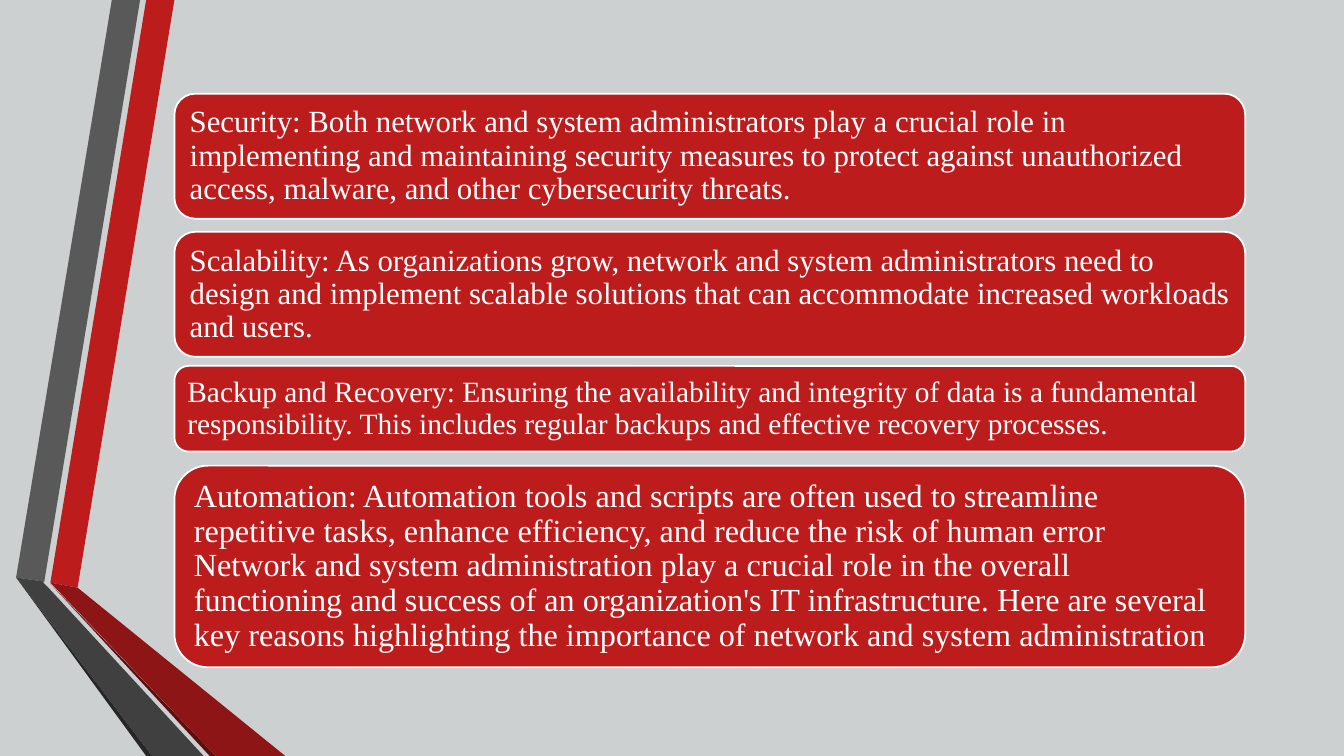
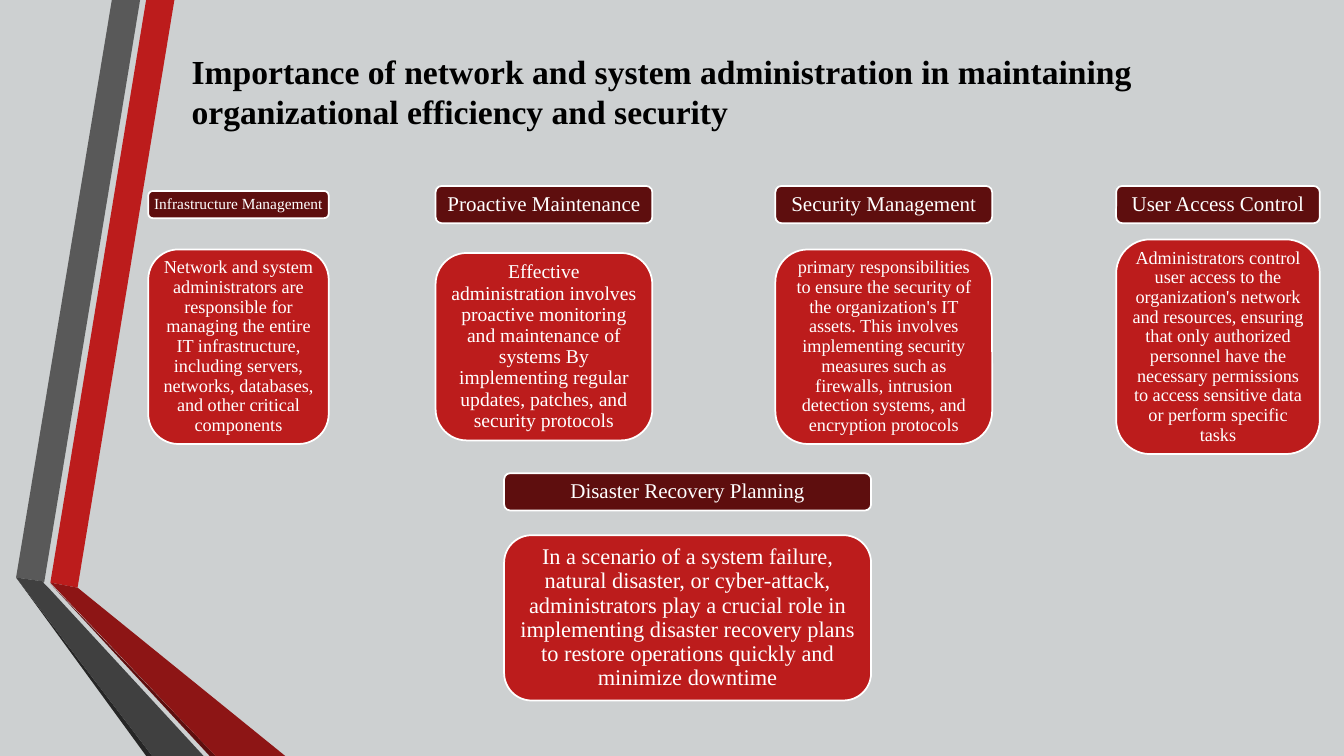
from pptx import Presentation
from pptx.dml.color import RGBColor
from pptx.enum.shapes import MSO_SHAPE as SHAPE
from pptx.enum.text import MSO_ANCHOR as ANCHOR, MSO_AUTO_SIZE as AUTO_SIZE, PP_ALIGN as ALIGN
from pptx.util import Pt

PX = 9144  # EMU per px, 100 px to the inch
SLIDE_W, SLIDE_H = 1333, 750
FONT = "Times New Roman"

BACKGROUND = RGBColor(0xCD, 0xD0, 0xD1)
BLACK = RGBColor(0x00, 0x00, 0x00)
WHITE = RGBColor(0xFF, 0xFF, 0xFF)
RED = RGBColor(0xBC, 0x1C, 0x1C)
RED_SHADE = RGBColor(0x8D, 0x15, 0x15)
RED_DARK = RGBColor(0x5E, 0x0E, 0x0E)
GREY = RGBColor(0x59, 0x59, 0x59)
GREY_SHADE = RGBColor(0x40, 0x40, 0x40)
GREY_DARK = RGBColor(0x26, 0x26, 0x26)

# Folded ribbons at the left edge, back to front
RIBBONS = [
    (RED, [(50, 578), (77, 583), (173, 0), (145, 0)]),
    (GREY, [(139, 0), (111, 0), (16, 573), (44, 577)]),
    (GREY_DARK, [(16, 573), (145, 750), (151, 750)]),
    (RED_DARK, [(50, 579), (208, 750), (214, 750)]),
    (RED_SHADE, [(50, 578), (214, 750), (283, 750), (77, 583)]),
    (GREY_SHADE, [(202, 750), (48, 583), (43, 578), (44, 577), (16, 573), (151, 750)]),
]

# top, height, font size, text
DUTIES = [
    (93, 124, 22, "Security: Both network and system administrators play a crucial role in "
     "implementing and maintaining security measures to protect against unauthorized access, "
     "malware, and other cybersecurity threats."),
    (230, 124, 22, "Scalability: As organizations grow, network and system administrators need "
     "to design and implement scalable solutions that can accommodate increased workloads and "
     "users."),
    (363, 85, 21, "Backup and Recovery: Ensuring the availability and integrity of data is a "
     "fundamental responsibility. This includes regular backups and effective recovery "
     "processes."),
    (462, 200, 23, "Automation: Automation tools and scripts are often used to streamline "
     "repetitive tasks, enhance efficiency, and reduce the risk of human error Network and "
     "system administration play a crucial role in the overall functioning and success of an "
     "organization's IT infrastructure. Here are several key reasons highlighting the "
     "importance of network and system administration"),
]

TITLE = ("Importance of network and system administration in maintaining "
         "organizational efficiency and security")

# (left, width), (heading centre, size, text), (body centre, height, size, text)
TOPICS = [
    ((147, 179), (203, 11, "Infrastructure Management"),
     (344, 193, 13, "Network and system administrators are responsible for managing the entire "
      "IT infrastructure, including servers, networks, databases, and other critical "
      "components")),
    ((432, 215), (203, 15, "Proactive Maintenance"),
     (344, 186, 14, "Effective administration involves proactive monitoring and maintenance of "
      "systems By implementing regular updates, patches, and security protocols")),
    ((769, 215), (203, 15, "Security Management"),
     (344, 193, 13, "primary responsibilities to ensure the security of the organization's IT "
      "assets. This involves implementing security measures such as firewalls, intrusion "
      "detection systems, and encryption protocols")),
    ((1107, 202), (203, 15, "User Access Control"),
     (344, 213, 13, "Administrators control user access to the organization's network and "
      "resources, ensuring that only authorized personnel have the necessary permissions to "
      "access sensitive data or perform specific tasks")),
    ((500, 364), (488, 15, "Disaster Recovery Planning"),
     (613, 164, 16, "In a scenario of a system failure, natural disaster, or cyber-attack, "
      "administrators play a crucial role in implementing disaster recovery plans to restore "
      "operations quickly and minimize downtime")),
]


def px(*lengths):
    return [round(n * PX) for n in lengths]


def style_master(prs, slide):
    """Give the master its background and ribbons, which are drawn by way of slide."""
    master = prs.slide_master
    fill = master.background.fill
    fill.solid()
    fill.fore_color.rgb = BACKGROUND
    tree = master.shapes._spTree
    for i, (color, points) in enumerate(RIBBONS):
        builder = slide.shapes.build_freeform(*points[0], scale=PX)
        builder.add_line_segments(points[1:], close=True)
        sp = builder.convert_to_shape()
        sp.shadow.inherit = False
        sp.fill.solid()
        sp.fill.fore_color.rgb = color
        sp.line.fill.background()
        tree.insert(2 + i, sp._element)


def add_title(slide, text):
    sp = slide.shapes.title
    sp.left, sp.top, sp.width, sp.height = px(180, 30, 1129, 121)
    tf = sp.text_frame
    tf.text = text
    tf.auto_size = AUTO_SIZE.NONE
    tf.vertical_anchor = ANCHOR.MIDDLE
    p = tf.paragraphs[0]
    p.alignment = ALIGN.LEFT
    p.font.name, p.font.size, p.font.bold = FONT, Pt(24), True
    p.font.color.rgb = BLACK


def add_panel(slide, box, color, size, text, align, wrap=True):
    """Add a rounded panel whose margins grow with its font size."""
    sp = slide.shapes.add_shape(SHAPE.ROUNDED_RECTANGLE, *px(*box))
    sp.shadow.inherit = False
    sp.fill.solid()
    sp.fill.fore_color.rgb = color
    sp.line.color.rgb = WHITE
    sp.line.width = Pt(1.25)
    tf = sp.text_frame
    tf.text = text
    tf.word_wrap = wrap
    tf.vertical_anchor = ANCHOR.MIDDLE
    tf.margin_left = tf.margin_right = tf.margin_top = tf.margin_bottom = Pt(0.3 * size)
    p = tf.paragraphs[0]
    p.alignment = align
    p.line_spacing = 0.9
    p.font.name, p.font.size = FONT, Pt(size)
    p.font.color.rgb = WHITE


def add_duties(slide, left, width):
    for top, height, size, text in DUTIES:
        add_panel(slide, (left, top, width, height), RED, size, text, ALIGN.LEFT)


def add_topic(slide, span, heading, body):
    left, width = span
    middle, size, text = heading
    height = int(2.5 * size)
    add_panel(slide, (left, middle - height / 2, width, height), RED_DARK, size, text,
              ALIGN.CENTER, wrap=False)
    middle, height, size, text = body
    add_panel(slide, (left, middle - height / 2, width, height), RED, size, text, ALIGN.CENTER)


def main():
    prs = Presentation()
    prs.slide_width, prs.slide_height = px(SLIDE_W, SLIDE_H)
    title_only, blank = prs.slide_layouts[5], prs.slide_layouts[6]

    duties = prs.slides.add_slide(blank)
    style_master(prs, duties)
    add_duties(duties, 173, 1062)

    importance = prs.slides.add_slide(title_only)
    add_title(importance, TITLE)
    for topic in TOPICS:
        add_topic(importance, *topic)

    prs.save("out.pptx")


if __name__ == "__main__":
    main()
